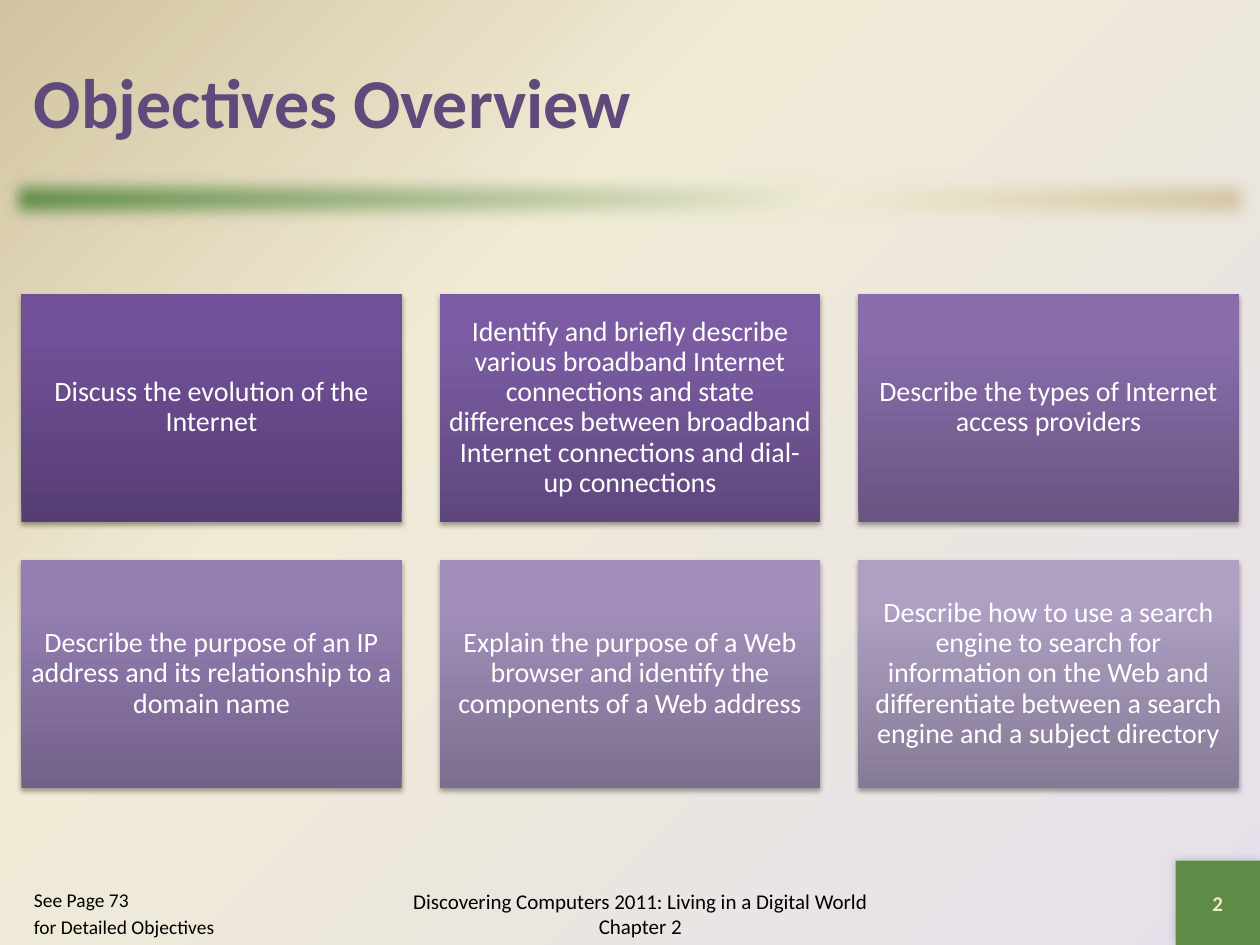
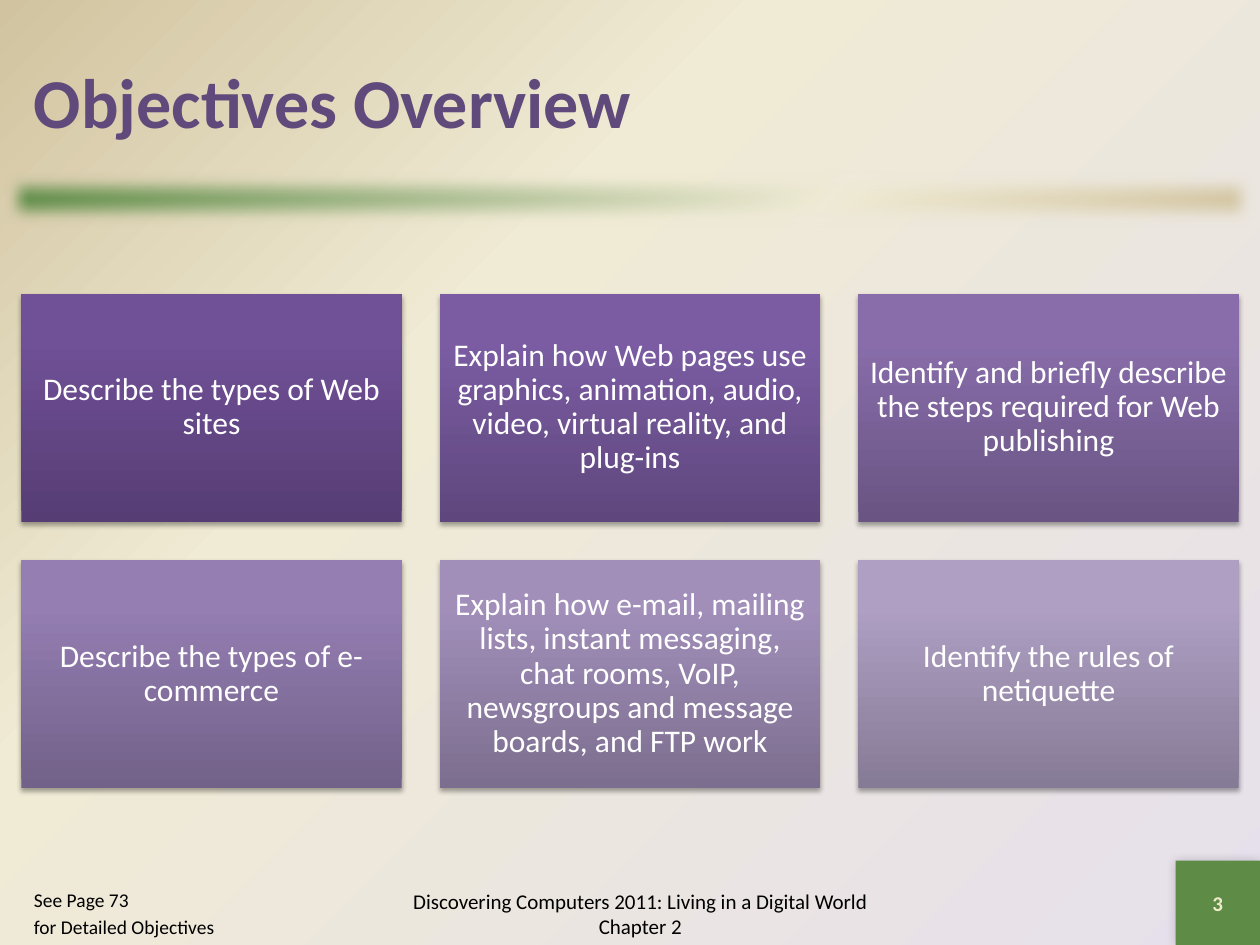
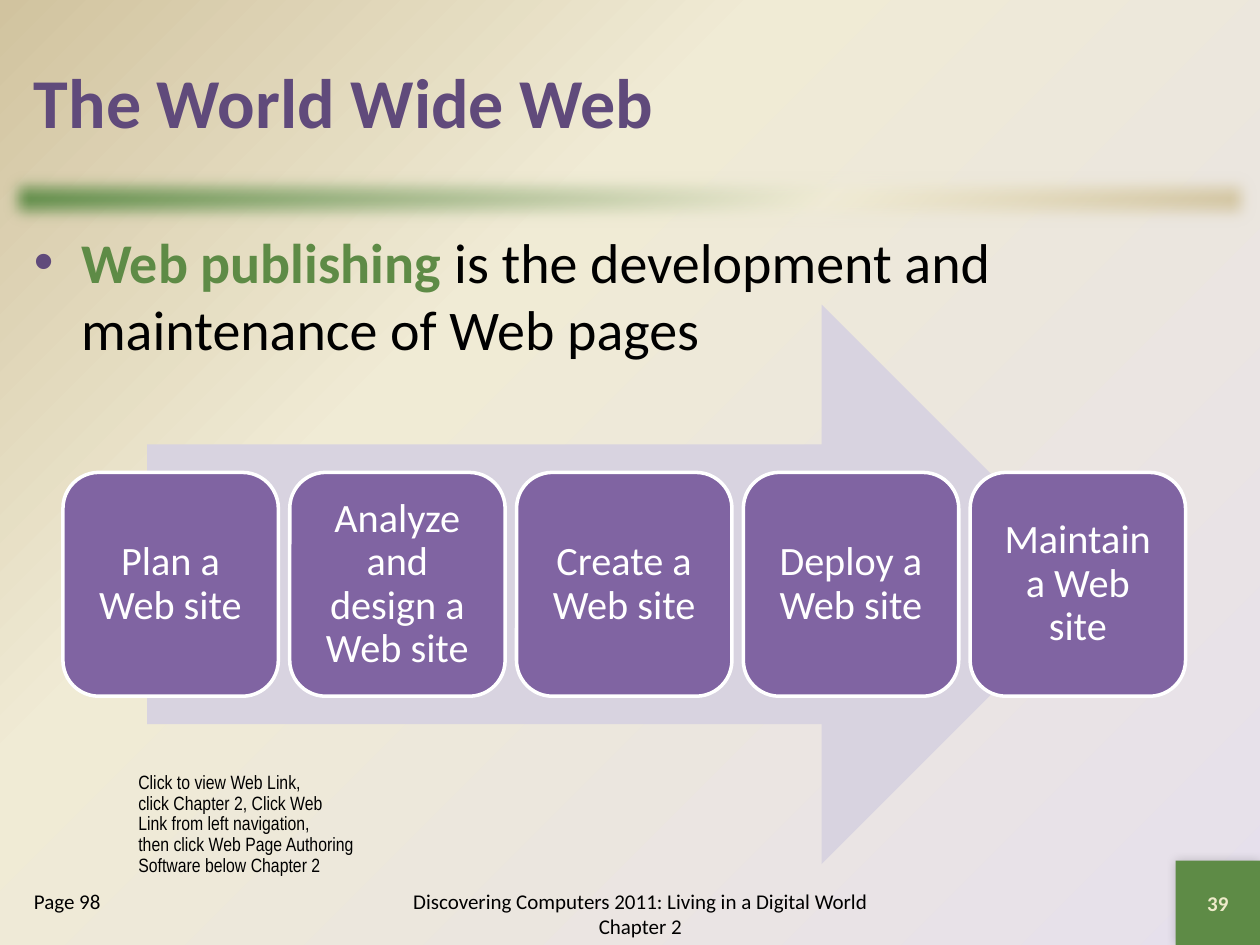
from dataclasses import dataclass

from pptx import Presentation
from pptx.dml.color import RGBColor
from pptx.enum.shapes import MSO_SHAPE
from pptx.enum.text import MSO_ANCHOR, MSO_AUTO_SIZE, PP_ALIGN
from pptx.oxml import parse_xml
from pptx.oxml.ns import nsdecls, qn
from pptx.util import Cm, Pt

COLORS = {
    "title": "604A7B",
    "text": "000000",
    "white": "FFFFFF",
    "green": "5E8B46",
    "cream": "F0EBD5",
    "sand": "D1C39F",
    "lavender": "E6E0EC",
    "number": "EEEBCA",
    "arrow": "D8D3E0",
    "step": "8064A2",
}
CARD_TONES = {
    "plum": ("563D74", "705097", "704F99"),
    "violet": ("5F477D", "7B5CA3", "7C5BA5"),
    "orchid": ("695483", "886DAA", "886DAC"),
    "lilac": ("726189", "947EB2", "957EB4"),
    "mauve": ("7C6E8F", "A18FBA", "A18FBC"),
    "mist": ("867B96", "AE9FC3", "AE9FC4"),
}
FONT = "Calibri"
BOOK = "Discovering Computers 2011: Living in a Digital World Chapter 2"
HANGING_INDENT = Cm(0.95)


@dataclass
class Box:
    """A region of the slide, in centimetres."""
    left: float
    top: float
    width: float
    height: float

    def lengths(self):
        return Cm(self.left), Cm(self.top), Cm(self.width), Cm(self.height)

    def grid(self, columns, rows, gap):
        """Yield equal cells with equal gaps, row by row."""
        width = (self.width - (columns - 1) * gap) / columns
        height = (self.height - (rows - 1) * gap) / rows
        for row in range(rows):
            for column in range(columns):
                yield Box(self.left + column * (width + gap),
                          self.top + row * (height + gap), width, height)


SLIDE = Box(0, 0, 25.4, 19.05)
BAND = Box(0, 3.38, 25.4, 1.27)
NUMBER_SQUARE = Box(23.7, 17.35, 1.7, 1.7)
TITLE = Box(0.43, 0.43, 24.55, 3.18)
BODY = Box(0.43, 4.45, 24.55, 12.9)
CARDS = Box(0.43, 5.92, 24.54, 9.96)
PROCESS = Box(1.27, 6.14, 22.63, 11.28)
WEB_LINK = Box(2.54, 15.45, 4.9, 2.36)
BOOK_FOOTER = Box(7.62, 17.78, 10.58, 1.27)
PAGE_REFERENCE = Box(0.43, 17.78, 4.66, 1.27)


def style_font(font, size, color, bold=False, name=FONT):
    font.name = name
    font.size = Pt(size)
    font.bold = bold
    font.color.rgb = RGBColor.from_string(COLORS[color])


def style_text(frame, size, color, align=PP_ALIGN.LEFT, bold=False,
               name=FONT, line_spacing=None):
    for paragraph in frame.paragraphs:
        paragraph.alignment = align
        paragraph.line_spacing = line_spacing
        for run in paragraph.runs:
            style_font(run.font, size, color, bold, name)


def paint_gradient(fill, element, stops, direction):
    """Fill with (percent, hex) stops; direction is an a:lin or a:path."""
    fill.gradient()
    gradient = next(element.iter(qn("a:gradFill")))
    marks = "".join(f'<a:gs pos="{percent * 1000}"><a:srgbClr val="{color}"/></a:gs>'
                    for percent, color in stops)
    gradient.getparent().replace(gradient, parse_xml(
        f'<a:gradFill {nsdecls("a")} rotWithShape="1">'
        f'<a:gsLst>{marks}</a:gsLst>{direction}</a:gradFill>'))


def linear(degrees):
    return f'<a:lin ang="{degrees * 60000}" scaled="0"/>'


def add_effect(shape, tag, attributes, content=""):
    effects = shape.element.spPr.find(qn("a:effectLst"))
    effects.append(parse_xml(
        f'<a:{tag} {nsdecls("a")} {attributes}>{content}</a:{tag}>'))


def add_shadow(shape, alpha, blur, distance, degrees):
    add_effect(shape, "outerShdw",
               f'blurRad="{Pt(blur)}" dist="{Pt(distance)}" '
               f'dir="{degrees * 60000}" algn="ctr" rotWithShape="0"',
               f'<a:srgbClr val="000000"><a:alpha val="{alpha * 1000}"/></a:srgbClr>')


def add_plain_shape(slide, kind, box, color=None):
    shape = slide.shapes.add_shape(kind, *box.lengths())
    shape.shadow.inherit = False
    shape.line.fill.background()
    if color:
        shape.fill.solid()
        shape.fill.fore_color.rgb = RGBColor.from_string(COLORS[color])
    return shape


def write_label(shape, text, size, inset):
    """Centre white text inside a shape."""
    frame = shape.text_frame
    frame.word_wrap = True
    frame.vertical_anchor = MSO_ANCHOR.MIDDLE
    frame.margin_left = frame.margin_right = Cm(inset)
    frame.margin_top = frame.margin_bottom = Cm(inset)
    frame.text = text
    style_text(frame, size, "white", PP_ALIGN.CENTER, line_spacing=0.9)


def add_text(slide, box, text, size, color, anchor=MSO_ANCHOR.MIDDLE, **style):
    frame = slide.shapes.add_textbox(*box.lengths()).text_frame
    frame.word_wrap = True
    frame.vertical_anchor = anchor
    frame.text = text
    style_text(frame, size, color, **style)


def place(placeholder, box, anchor):
    placeholder.left, placeholder.top, placeholder.width, placeholder.height = box.lengths()
    frame = placeholder.text_frame
    frame.word_wrap = True
    frame.auto_size = MSO_AUTO_SIZE.NONE
    frame.vertical_anchor = anchor
    return frame


def set_hanging(paragraph, bullet_color=None):
    """Hang the paragraph, with a bullet if a colour is given."""
    properties = paragraph._p.get_or_add_pPr()
    properties.set("marL", str(HANGING_INDENT))
    properties.set("indent", str(-HANGING_INDENT))
    if bullet_color:
        marks = (f'<a:buClr {nsdecls("a")}><a:srgbClr val="{COLORS[bullet_color]}"/></a:buClr>',
                 f'<a:buFont {nsdecls("a")} typeface="Arial"/>',
                 f'<a:buChar {nsdecls("a")} char="•"/>')
    else:
        marks = (f'<a:buNone {nsdecls("a")}/>',)
    for mark in marks:
        properties.append(parse_xml(mark))


def decorate_master(master, slide):
    """Draw the band and number square on a slide, then move them to the master."""
    paint_gradient(master.background.fill, master.element,
                   [(0, COLORS["lavender"]), (65, COLORS["cream"]), (100, COLORS["sand"])],
                   '<a:path path="circle"><a:fillToRect l="100000" t="100000"/></a:path>')
    band = add_plain_shape(slide, MSO_SHAPE.RECTANGLE, BAND)
    paint_gradient(band.fill, band.element,
                   [(0, COLORS["green"]), (65, COLORS["cream"]), (100, COLORS["sand"])],
                   linear(45))
    add_effect(band, "softEdge", f'rad="{Pt(10)}"')
    square = add_plain_shape(slide, MSO_SHAPE.RECTANGLE, NUMBER_SQUARE, "green")
    add_shadow(square, 20, 6, 0, 225)
    for order, part in enumerate((band, square)):
        next(part.element.iter(qn("p:cNvPr"))).set("id", str(100 + order))
        master.shapes.element.insert(2 + order, part.element)


def add_title(slide, text):
    frame = place(slide.shapes.title, TITLE, MSO_ANCHOR.MIDDLE)
    frame.text = text
    style_text(frame, 40, "title", bold=True)


def add_footer(slide, number, page_placeholder, page_text, page_size):
    add_text(slide, BOOK_FOOTER, BOOK, 12, "text", align=PP_ALIGN.CENTER)
    add_text(slide, NUMBER_SQUARE, str(number), 12, "number",
             align=PP_ALIGN.CENTER, bold=True)
    frame = place(page_placeholder, PAGE_REFERENCE, MSO_ANCHOR.TOP)
    frame.text = page_text
    for order, paragraph in enumerate(frame.paragraphs):
        set_hanging(paragraph)
        paragraph.space_before = Pt(0.2 * page_size) if order else Pt(0)
    style_text(frame, page_size, "text")


def add_cards(slide, box, objectives, size):
    cells = box.grid(columns=3, rows=2, gap=0.77)
    for cell, objective, tones in zip(cells, objectives, CARD_TONES.values()):
        card = add_plain_shape(slide, MSO_SHAPE.RECTANGLE, cell)
        paint_gradient(card.fill, card.element, zip((0, 80, 100), tones), linear(270))
        add_shadow(card, 35, 3.1, 1.8, 90)
        write_label(card, objective, size, 0.18)


def add_process(slide, box, steps):
    """Draw a wide arrow with a row of steps across its middle."""
    arrow_box = Box(box.left + 0.075 * box.width, box.top, 0.85 * box.width, box.height)
    add_plain_shape(slide, MSO_SHAPE.RIGHT_ARROW, arrow_box, "arrow")
    row = Box(box.left, box.top + 0.3 * box.height, box.width, 0.4 * box.height)
    for cell, step in zip(row.grid(len(steps), 1, gap=0.23), steps):
        tile = add_plain_shape(slide, MSO_SHAPE.ROUNDED_RECTANGLE, cell, "step")
        tile.line.color.rgb = RGBColor.from_string(COLORS["white"])
        tile.line.width = Pt(2)
        write_label(tile, step, 23, 0.25)


def add_definition(placeholder, term, meaning):
    paragraph = place(placeholder, BODY, MSO_ANCHOR.TOP).paragraphs[0]
    set_hanging(paragraph, "title")
    paragraph.space_before = Pt(0)
    for text, color, bold in ((term, "green", True), (meaning, "text", False)):
        run = paragraph.add_run()
        run.text = text
        style_font(run.font, 32, color, bold)


def build_objectives(slide, number, objectives, size):
    add_title(slide, "Objectives Overview")
    add_cards(slide, CARDS, objectives, size)
    add_footer(slide, number, slide.placeholders[1],
               "See Page 73\nfor Detailed Objectives", 11.1)


def build_web_publishing(slide, number):
    add_title(slide, "The World Wide Web")
    add_definition(slide.placeholders[1], "Web publishing ",
                   "is the development and maintenance of Web pages")
    add_footer(slide, number, slide.placeholders[2], "Page 98", 12)
    add_process(slide, PROCESS, [
        "Plan a Web site", "Analyze and design a Web site", "Create a Web site",
        "Deploy a Web site", "Maintain a Web site"])
    add_text(slide, WEB_LINK,
             "Click to view Web Link,\vclick Chapter 2, Click Web\v"
             "Link from left navigation,\n"
             "then click Web Page Authoring Software below Chapter 2",
             11, "text", MSO_ANCHOR.TOP, name="Arial Narrow", line_spacing=0.9)


def main():
    deck = Presentation()
    deck.slide_width, deck.slide_height = Cm(SLIDE.width), Cm(SLIDE.height)
    one_body = deck.slide_layouts.get_by_name("Title and Content")
    two_bodies = deck.slide_layouts.get_by_name("Two Content")

    internet = deck.slides.add_slide(one_body)
    decorate_master(deck.slide_master, internet)
    build_objectives(internet, 2, [
        "Discuss the evolution of the Internet",
        "Identify and briefly describe various broadband Internet connections and state "
        "differences between broadband Internet connections and dial-up connections",
        "Describe the types of Internet access providers",
        "Describe the purpose of an IP address and its relationship to a domain name",
        "Explain the purpose of a Web browser and identify the components of a Web address",
        "Describe how to use a search engine to search for information on the Web and "
        "differentiate between a search engine and a subject directory",
    ], 16)
    build_objectives(deck.slides.add_slide(one_body), 3, [
        "Describe the types of Web sites",
        "Explain how Web pages use graphics, animation, audio, video, virtual reality, "
        "and plug-ins",
        "Identify and briefly describe the steps required for Web publishing",
        "Describe the types of e-commerce",
        "Explain how e-mail, mailing lists, instant messaging, chat rooms, VoIP, "
        "newsgroups and message boards, and FTP work",
        "Identify the rules of netiquette",
    ], 18)
    build_web_publishing(deck.slides.add_slide(two_bodies), 39)
    deck.save("out.pptx")


if __name__ == "__main__":
    main()
